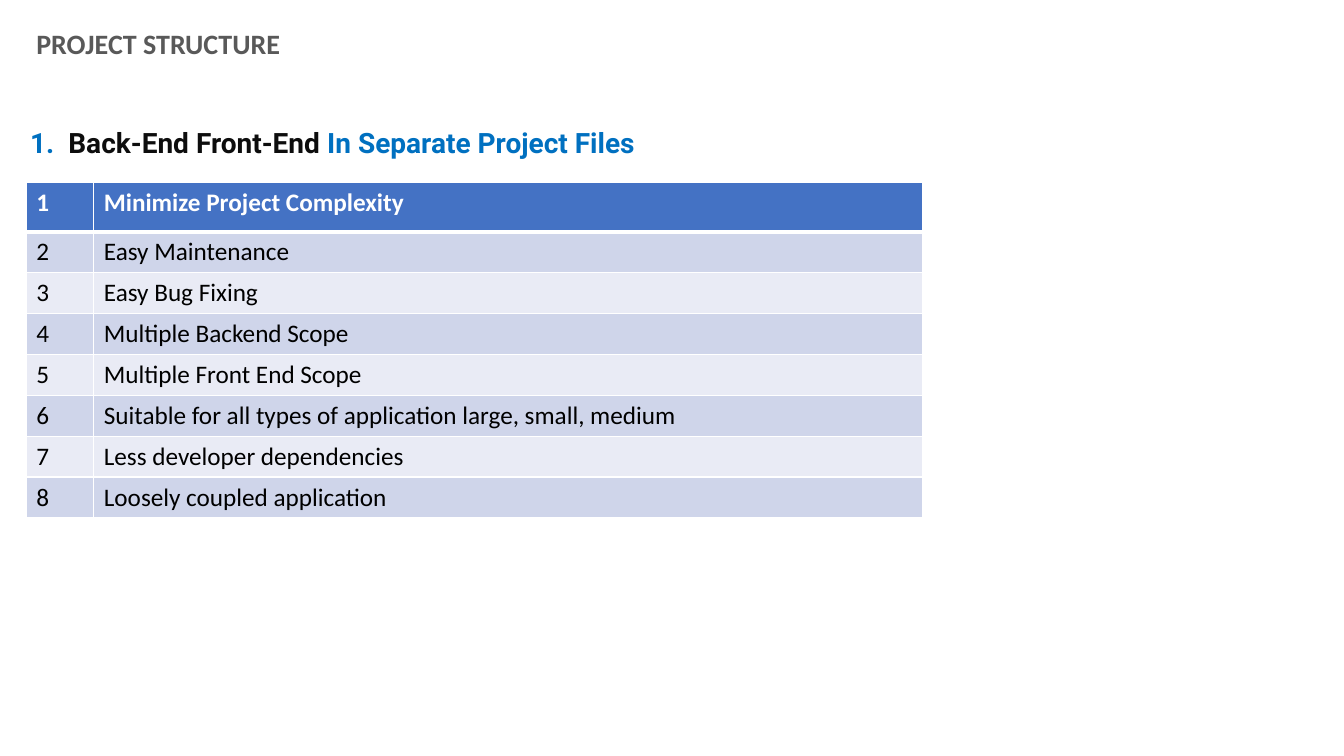
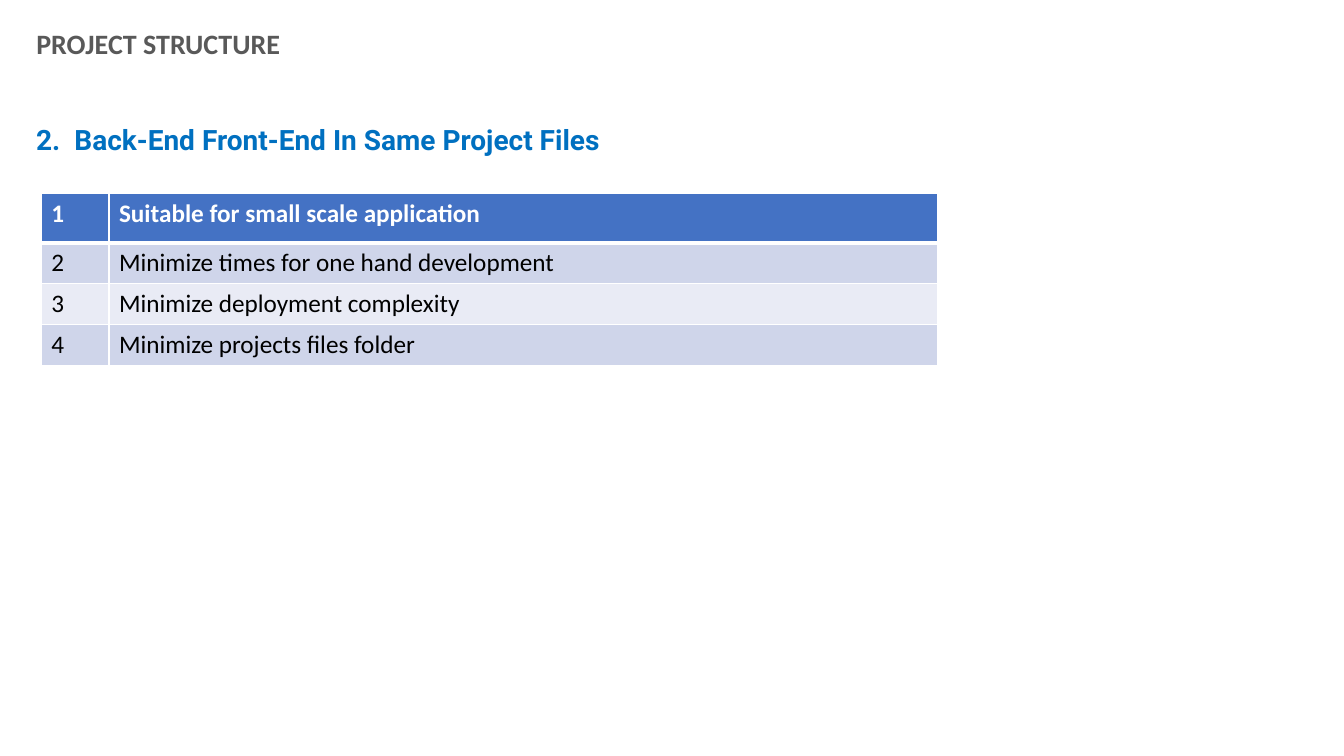
from dataclasses import dataclass

from lxml.etree import SubElement
from pptx import Presentation
from pptx.dml.color import RGBColor
from pptx.enum.text import MSO_ANCHOR, MSO_AUTO_SIZE, PP_ALIGN
from pptx.oxml.ns import qn
from pptx.util import Inches, Pt


@dataclass(frozen=True)
class Theme:
    """Colours, fonts, type sizes and line widths of the deck."""
    paper: str = "FFFFFF"
    ink: str = "000000"
    title_grey: str = "595959"
    accent: str = "0070C0"
    emphasis: str = "0D0D0D"
    header: str = "4472C4"
    bands: tuple = ("CFD5EA", "E9EBF5")
    body_font: str = "Calibri"
    heading_font: str = "Roboto"
    heading_size: int = 20
    table_size: int = 18
    thin_line: int = 1
    thick_line: int = 3


class Slides:
    """Holds the deck, its theme and the current page; lengths are percent of the page."""

    TITLE_BOX = (1.95, 2.8, 60.54, 5.87)
    HEADING_SIZE = (97.07, 5.87)
    NUMBER_INDENT = 2.85
    COLUMNS = (5.03, 61.67)
    HEADER_ROW, BODY_ROW = 6.53, 5.41

    def __init__(self, theme):
        """Start an empty widescreen deck."""
        self.theme = theme
        self.deck = Presentation()
        self.deck.slide_width, self.deck.slide_height = Inches(13.33), Inches(7.5)
        self.page = None

    def across(self, share):
        """Turn a percentage of the page width into a length."""
        return round(self.deck.slide_width * share / 100)

    def down(self, share):
        """Turn a percentage of the page height into a length."""
        return round(self.deck.slide_height * share / 100)

    def area(self, left, top, width, height):
        """Turn four percentages into left, top, width and height."""
        return self.across(left), self.down(top), self.across(width), self.down(height)

    def add_span(self, para, text, color, **formats):
        """Add one formatted span to a paragraph."""
        span = para.add_run()
        span.text = text
        span.font.color.rgb = RGBColor.from_string(color)
        for name, value in formats.items():
            setattr(span.font, name, value)

    def frame(self, box):
        """Give a text box the shared frame settings and return its paragraph."""
        settings = {"word_wrap": True, "vertical_anchor": MSO_ANCHOR.TOP,
                    "auto_size": MSO_AUTO_SIZE.SHAPE_TO_FIT_TEXT}
        for name, value in settings.items():
            setattr(box.text_frame, name, value)
        para = box.text_frame.paragraphs[0]
        para.alignment = PP_ALIGN.LEFT
        return para

    def add_page(self, title):
        """Add a title-only page and format its title."""
        self.page = self.deck.slides.add_slide(self.deck.slide_layouts[5])
        box = self.page.shapes.title
        box.left, box.top, box.width, box.height = self.area(*self.TITLE_BOX)
        self.add_span(self.frame(box), title, self.theme.title_grey, bold=True,
                      name=self.theme.body_font, size=Pt(self.theme.heading_size))

    def add_heading(self, left, top, number, spans):
        """Add a numbered heading with a hanging indent, from (text, colour) spans."""
        box = self.page.shapes.add_textbox(*self.area(left, top, *self.HEADING_SIZE))
        para = self.frame(box)
        indent = self.across(self.NUMBER_INDENT)
        properties = para._p.get_or_add_pPr()
        properties.set("marL", str(indent))
        properties.set("indent", str(-indent))
        for text, color in [(f"{number}.\t", self.theme.accent), *spans]:
            self.add_span(para, text, color, bold=True, name=self.theme.heading_font,
                          size=Pt(self.theme.heading_size))

    def add_borders(self, cell, top, bottom):
        """Draw the four borders of a cell, in the page colour."""
        thin = self.theme.thin_line
        properties = cell._tc.get_or_add_tcPr()
        for side, width in {"L": thin, "R": thin, "T": top, "B": bottom}.items():
            line = SubElement(properties, qn(f"a:ln{side}"), w=str(Pt(width)))
            fill = SubElement(line, qn("a:solidFill"))
            SubElement(fill, qn("a:srgbClr"), val=self.theme.paper)

    def add_list_table(self, left, top, items):
        """Add a numbered table whose first item is the header row."""
        theme = self.theme
        heights = [self.HEADER_ROW] + [self.BODY_ROW] * (len(items) - 1)
        table = self.page.shapes.add_table(
            len(items), len(self.COLUMNS),
            *self.area(left, top, sum(self.COLUMNS), sum(heights))).table
        for column, share in zip(table.columns, self.COLUMNS):
            column.width = self.across(share)
        for index, (item, share) in enumerate(zip(items, heights)):
            table.rows[index].height = self.down(share)
            is_header = index == 0
            fill = theme.header if is_header else theme.bands[(index - 1) % 2]
            color = theme.paper if is_header else theme.ink
            above = theme.thick_line if index == 1 else theme.thin_line
            below = theme.thick_line if is_header else theme.thin_line
            for cell, text in zip(table.rows[index].cells, (str(index + 1), item)):
                self.add_borders(cell, above, below)
                cell.fill.solid()
                cell.fill.fore_color.rgb = RGBColor.from_string(fill)
                self.add_span(cell.text_frame.paragraphs[0], text, color, bold=is_header,
                              name=theme.body_font, size=Pt(theme.table_size))


def separate_files(slides):
    """Build the page on separate project files."""
    theme = slides.theme
    slides.add_page("PROJECT STRUCTURE")
    slides.add_heading(1.5, 16, 1, [("Back-End Front-End", theme.emphasis),
                                    (" In Separate Project Files", theme.accent)])
    slides.add_list_table(1.95, 24.13, [
        "Minimize Project Complexity",
        "Easy Maintenance",
        "Easy Bug Fixing",
        "Multiple Backend Scope",
        "Multiple Front End Scope",
        "Suitable for all types of application large, small, medium",
        "Less developer dependencies",
        "Loosely coupled application",
    ])


def same_files(slides):
    """Build the page on shared project files."""
    slides.add_page("PROJECT STRUCTURE")
    slides.add_heading(1.95, 15.6, 2, [
        ("Back-End Front-End In Same Project Files", slides.theme.accent)])
    slides.add_list_table(3.08, 25.6, [
        "Suitable for small scale application",
        "Minimize times for one hand development",
        "Minimize deployment complexity",
        "Minimize projects files folder",
    ])


def main():
    """Build both pages and save the deck."""
    slides = Slides(Theme())
    separate_files(slides)
    same_files(slides)
    slides.deck.save("out.pptx")


main()
